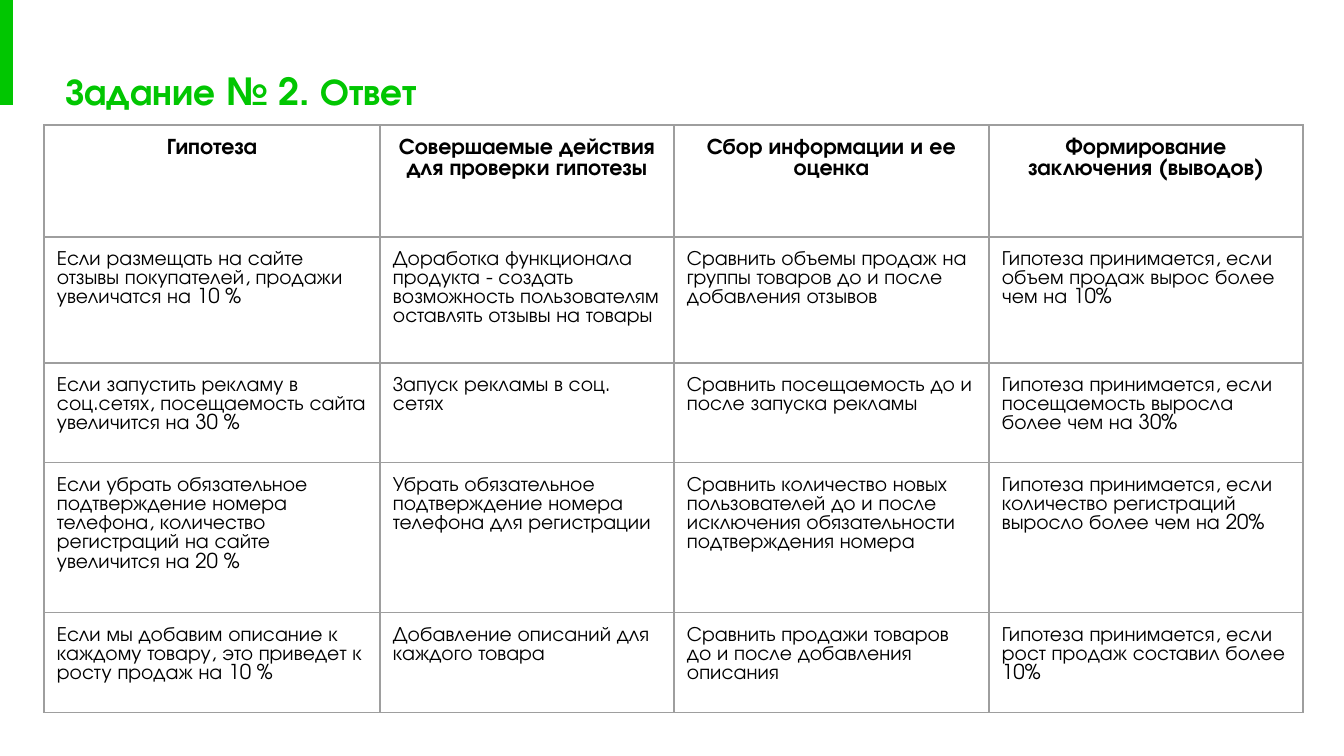
from lxml.etree import SubElement
from pptx import Presentation
from pptx.dml.color import RGBColor
from pptx.enum.shapes import MSO_SHAPE as Shape
from pptx.enum.text import MSO_ANCHOR as Anchor, MSO_AUTO_SIZE as AutoSize, PP_ALIGN as Align
from pptx.oxml.ns import qn
from pptx.util import Emu, Pt

EMU_PER_PX = 914400 / 134.4
FONT = "TeX Gyre Adventor"
COLORS = {"accent": "01C601", "text": "000000", "grid": "9E9E9E"}
INSET = 13
COLUMN_WIDTHS = [336, 294, 315, 314]
ROW_HEIGHTS = [112, 126, 100, 150, 100]
HYPOTHESES = [
    ["Гипотеза",
     "Совершаемые действия для проверки гипотезы",
     "Сбор информации и ее оценка",
     "Формирование заключения (выводов)"],
    ["Если размещать на сайте отзывы покупателей, продажи увеличатся на 10 %",
     "Доработка функционала продукта - создать возможность пользователям оставлять отзывы на товары",
     "Сравнить объемы продаж на группы товаров до и после добавления отзывов",
     "Гипотеза принимается, если объем продаж вырос более чем на 10%"],
    ["Если запустить рекламу в соц.сетях, посещаемость сайта увеличится на 30 %",
     "Запуск рекламы в соц. сетях",
     "Сравнить посещаемость до и после запуска рекламы",
     "Гипотеза принимается, если посещаемость выросла более чем на 30%"],
    ["Если убрать обязательное подтверждение номера телефона, количество регистраций на сайте увеличится на 20 %",
     "Убрать обязательное подтверждение номера телефона для регистрации",
     "Сравнить количество новых пользователей до и после исключения обязательности подтверждения номера",
     "Гипотеза принимается, если количество регистраций выросло более чем на 20%"],
    ["Если мы добавим описание к каждому товару, это приведет к росту продаж на 10 %",
     "Добавление описаний для каждого товара",
     "Сравнить продажи товаров до и после добавления описания",
     "Гипотеза принимается, если рост продаж составил более 10%"],
]


def px(length):
    return Emu(round(length * EMU_PER_PX))


def color(name):
    return RGBColor.from_string(COLORS[name])


def set_insets(holder):
    """Give a cell or a text frame the same margin on all sides."""
    holder.margin_left = holder.margin_right = px(INSET)
    holder.margin_top = holder.margin_bottom = px(INSET)


def write(frame, text, size, color_name, bold=False, align=Align.LEFT):
    frame.text = text
    paragraph = frame.paragraphs[0]
    paragraph.alignment = align
    font = paragraph.runs[0].font
    font.name, font.size, font.bold = FONT, Pt(size), bold
    font.color.rgb = color(color_name)


def add_accent_bar(slide):
    bar = slide.shapes.add_shape(Shape.RECTANGLE, 0, 0, px(13), px(105))
    bar.shadow.inherit = False
    bar.fill.solid()
    bar.fill.fore_color.rgb = color("accent")
    bar.line.fill.background()


def fill_title(slide, text):
    title = slide.shapes.title
    title.left, title.top, title.width, title.height = map(px, (52, 54, 625, 73))
    frame = title.text_frame
    set_insets(frame)
    frame.word_wrap = True
    frame.vertical_anchor = Anchor.MIDDLE
    frame.auto_size = AutoSize.SHAPE_TO_FIT_TEXT
    write(frame, text, 20, "accent", bold=True)


def outline_cell(cell):
    """Draw all four borders, placed before the fill as the schema requires."""
    properties = cell._tc.get_or_add_tcPr()
    for position, side in enumerate(("lnL", "lnR", "lnT", "lnB")):
        border = SubElement(properties, qn(f"a:{side}"), w=str(Pt(0.75)))
        fill = SubElement(border, qn("a:solidFill"))
        SubElement(fill, qn("a:srgbClr"), val=COLORS["grid"])
        properties.insert(position, border)


def add_hypothesis_table(slide):
    table = slide.shapes.add_table(
        len(ROW_HEIGHTS), len(COLUMN_WIDTHS), px(44), px(125),
        px(sum(COLUMN_WIDTHS)), px(sum(ROW_HEIGHTS))).table
    table.first_row = table.horz_banding = False
    for column, width in zip(table.columns, COLUMN_WIDTHS):
        column.width = px(width)
    for row, height, texts in zip(table.rows, ROW_HEIGHTS, HYPOTHESES):
        row.height = px(height)
        is_header = texts is HYPOTHESES[0]
        for cell, text in zip(row.cells, texts):
            set_insets(cell)
            cell.vertical_anchor = Anchor.TOP
            cell.fill.background()
            outline_cell(cell)
            write(cell.text_frame, text, 12 if is_header else 11, "text",
                  bold=is_header, align=Align.CENTER if is_header else Align.LEFT)


def main():
    deck = Presentation()
    deck.slide_width, deck.slide_height = px(1344), px(756)
    slide = deck.slides.add_slide(deck.slide_layouts.get_by_name("Title Only"))
    add_accent_bar(slide)
    fill_title(slide, "Задание № 2. Ответ")
    add_hypothesis_table(slide)
    deck.save("out.pptx")


if __name__ == "__main__":
    main()
